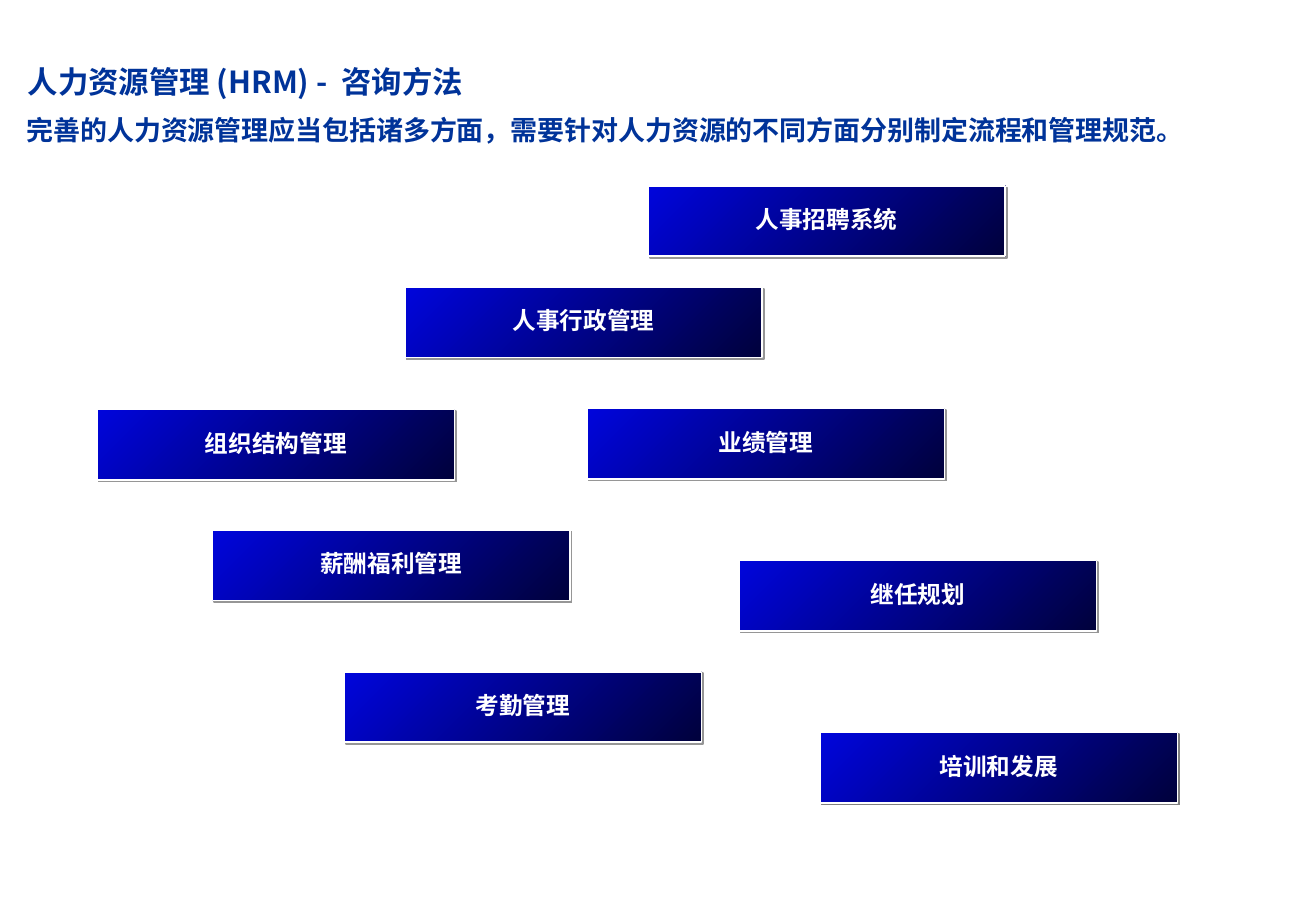
from lxml.etree import SubElement
from pptx import Presentation
from pptx.dml.color import RGBColor as RGB
from pptx.enum.shapes import MSO_SHAPE as Shape
from pptx.enum.text import MSO_ANCHOR as Anchor, PP_ALIGN as Align
from pptx.oxml.ns import qn
from pptx.util import Inches, Pt

COLORS = {"heading": "003399", "bright": "0005DC", "dark": "00013C",
          "white": "FFFFFF", "shadow": "969696", "deep_shadow": "808080"}
CJK_FONT = "Noto Sans CJK SC"
UNIT = Inches(1) / 12  # the modules sit on a grid of twelfths of an inch
MODULE_TOP = Inches(1.53)
MODULE_WIDTH, MODULE_HEIGHT = Inches(2.94), Inches(0.58)


def write(holder, words, size, font_name, color):
    frame = holder.text_frame
    frame.text = words
    frame.vertical_anchor = Anchor.MIDDLE
    run = frame.paragraphs[0].runs[0]
    run.font.size, run.font.bold, run.font.name = Pt(size), True, font_name
    run.font.color.rgb = RGB.from_string(COLORS[color])
    SubElement(run.font._element, qn("a:ea"), typeface=CJK_FONT)
    return frame


def add_shadow(module, color):
    module.shadow.inherit = False
    effects = module._element.spPr.find(qn("a:effectLst"))
    outer = SubElement(effects, qn("a:outerShdw"), blurRad="0", dist=str(Pt(1.4)),
                       dir=str(45 * 60000), algn="ctr", rotWithShape="0")
    SubElement(outer, qn("a:srgbClr"), val=COLORS[color])


prs = Presentation()
prs.slide_width, prs.slide_height = Inches(10.83), Inches(7.5)
slide = prs.slides.add_slide(prs.slide_layouts[6])

# Title and key message
headings = [
    ("人力资源管理 (HRM) -  咨询方法", 18, CJK_FONT, (0.13, 0.17, 6.78, 1)),
    ("完善的人力资源管理应当包括诸多方面，需要针对人力资源的不同方面分别制定流程和管理规范。",
     16, "Arial", (0.12, 0.72, 10.58, 0.69)),
]
for words, size, font_name, area in headings:
    heading = slide.shapes.add_textbox(*map(Inches, area))
    write(heading, words, size, font_name, "heading").word_wrap = True

# HR modules: name, column, row, shadow
modules = [
    ("人事招聘系统", 64, 0, "shadow"),
    ("人事行政管理", 40, 10, "shadow"),
    ("组织结构管理", 9.6, 22.1, "shadow"),
    ("薪酬福利管理", 21, 34, "shadow"),
    ("考勤管理", 34, 48, "shadow"),
    ("业绩管理", 58, 22, "shadow"),
    ("培训和发展", 81, 54, "deep_shadow"),
    ("继任规划", 73, 37, "shadow"),
]
for name, column, row, shadow in modules:
    module = slide.shapes.add_shape(
        Shape.RECTANGLE, int(column * UNIT), int(MODULE_TOP + row * UNIT),
        MODULE_WIDTH, MODULE_HEIGHT)
    module.fill.gradient()
    module.fill.gradient_angle = 315
    for stop, color in zip(module.fill.gradient_stops, ("bright", "dark")):
        stop.color.rgb = RGB.from_string(COLORS[color])
    module.line.color.rgb = RGB.from_string(COLORS["white"])
    module.line.width = Pt(1)
    add_shadow(module, shadow)
    label = write(module, name, 14, "Calibri", "white")
    label.word_wrap = False
    label.paragraphs[0].alignment = Align.CENTER
    label.paragraphs[0].line_spacing = 0.9

prs.save("out.pptx")
